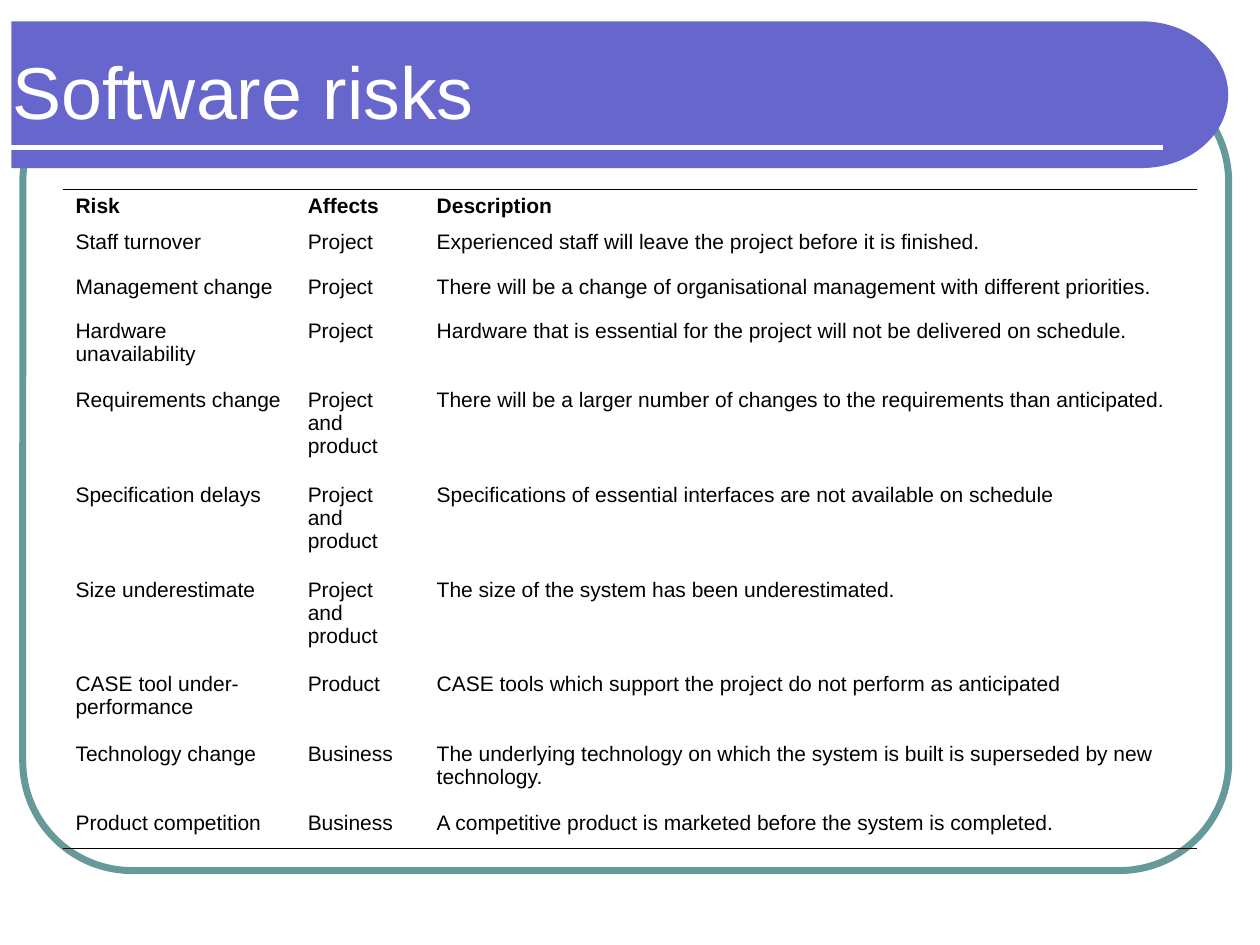
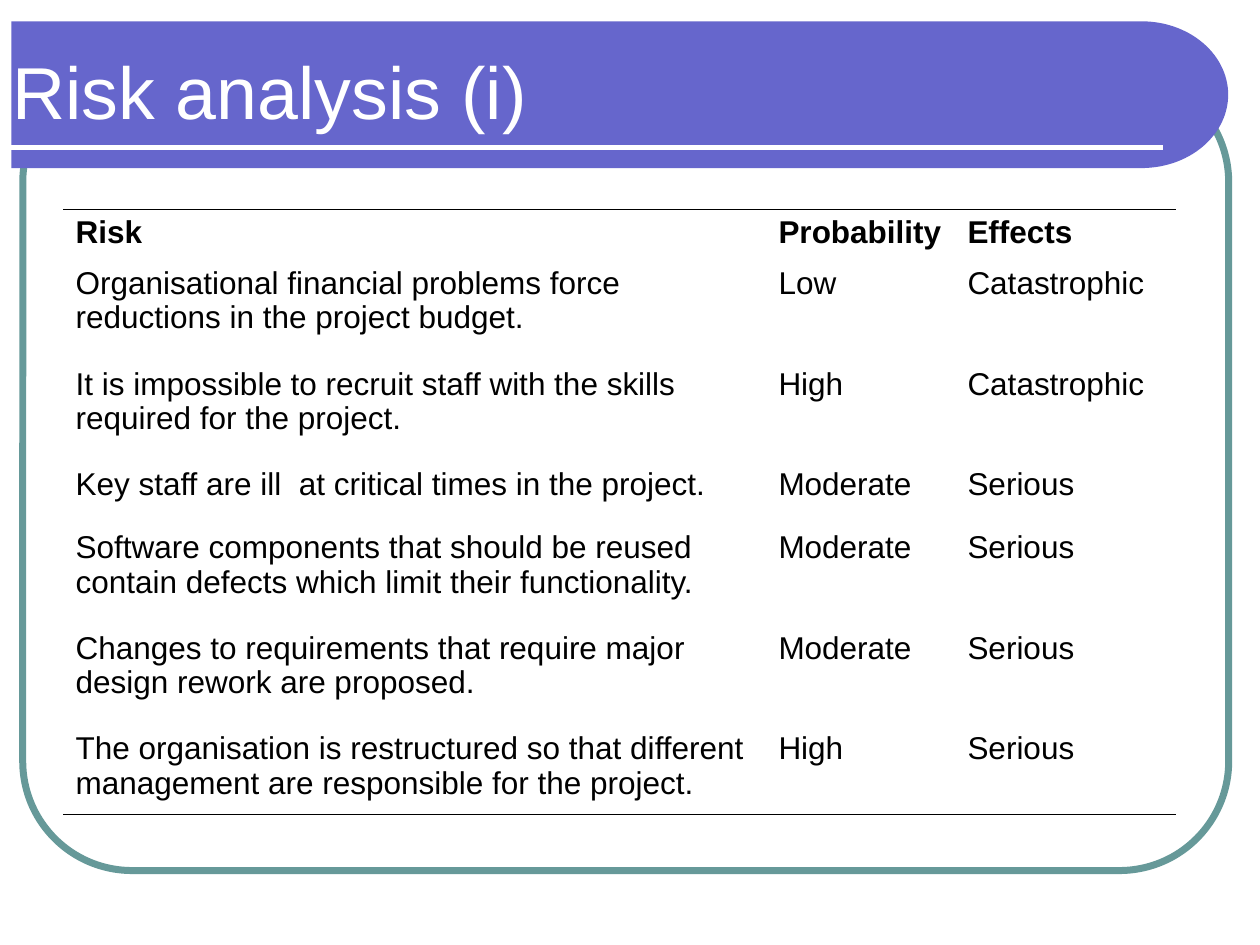
import math
from dataclasses import dataclass

import pptx
import pptx.dml.color
import pptx.enum.shapes
import pptx.enum.text
import pptx.oxml
import pptx.oxml.ns
import pptx.util

Cm = pptx.util.Cm
Pt = pptx.util.Pt
Align = pptx.enum.text.PP_ALIGN
Rgb = pptx.dml.color.RGBColor


@dataclass(frozen=True)
class Theme:
    font: str = "Arial"
    band: str = "6666CC"
    frame: str = "669999"
    ink: str = "000000"
    paper: str = "FFFFFF"
    title: float = 42
    edge: float = 4
    stripe: float = 3
    rule: float = 0.45
    lead: float = 0.98


@dataclass(frozen=True)
class Grid:
    """A risk table; lengths are in centimetres."""
    title: str
    top: float
    size: float
    head: Align
    cols: tuple[float, ...]
    rows: tuple[float, ...]
    cells: tuple[tuple[str, ...], ...]


THEME = Theme()
LEFT = 1.27
PLAIN = "{2D5ABB26-0587-4C30-8999-92F81FD0307C}"  # no style, no grid

GRIDS = (
    Grid(
        "Software risks", 3.81, 12, Align.JUSTIFY,
        (4.68, 2.6, 15.57),
        (0.73, 0.89, 0.89, 1.4, 1.91, 1.91, 1.91, 1.4, 1.4, 0.86),
        (
            ("Risk", "Affects", "Description"),
            ("Staff turnover", "Project",
             "Experienced staff will leave the project before it is finished."),
            ("Management change", "Project",
             "There will be a change of organisational management with different priorities."),
            ("Hardware unavailability", "Project",
             "Hardware that is essential for the project will not be delivered on schedule."),
            ("Requirements change", "Project and product",
             "There will be a larger number of changes to the requirements than anticipated."),
            ("Specification delays", "Project and product",
             "Specifications of essential interfaces are not available on schedule"),
            ("Size underestimate", "Project and product",
             "The size of the system has been underestimated."),
            ("CASE tool under-performance", "Product",
             "CASE tools which support the project do not perform as anticipated"),
            ("Technology change", "Business",
             "The underlying technology on which the system is built is superseded by new technology."),
            ("Product competition", "Business",
             "A competitive product is marketed before the system is completed."),
        ),
    ),
    Grid(
        "Risk analysis (i)", 4.23, 18, Align.LEFT,
        (14.17, 3.81, 4.45),
        (1.02, 2.03, 2.03, 1.27, 2.03, 2.03, 1.78),
        (
            ("Risk", "Probability", "Effects"),
            ("Organisational financial problems force reductions in the project budget.",
             "Low", "Catastrophic"),
            ("It is impossible to recruit staff with the skills required for the project.",
             "High", "Catastrophic"),
            ("Key staff are ill  at critical times in the project.",
             "Moderate", "Serious"),
            ("Software components that should be reused contain defects which limit their functionality.",
             "Moderate", "Serious"),
            ("Changes to requirements that require major design rework are proposed.",
             "Moderate", "Serious"),
            ("The organisation is restructured so that different management are responsible for the project.",
             "High", "Serious"),
        ),
    ),
)


def style(para, size: float, color: str, bold: bool = False) -> None:
    font = para.font
    font.name, font.size, font.bold = THEME.font, Pt(size), bold
    font.color.rgb = Rgb.from_string(color)


def add_frame(slide) -> None:
    frame = slide.shapes.add_shape(
        pptx.enum.shapes.MSO_SHAPE.ROUNDED_RECTANGLE,
        Cm(0.46), Cm(1.47), Cm(24.31), Cm(16.08))
    frame.adjustments[0] = 0.137
    frame.shadow.inherit = False
    frame.fill.background()
    frame.line.color.rgb = Rgb.from_string(THEME.frame)
    frame.line.width = Pt(THEME.edge)


def add_band(slide) -> None:
    # Flat on the left, half an ellipse on the right
    left, mid, top, wide, half = 0.23, 23.01, 0.43, 1.75, 1.48
    turns = [math.radians(a) for a in range(-90, 91, 3)]
    arc = [(Cm(mid + wide * math.cos(t)), Cm(top + half + half * math.sin(t)))
           for t in turns]
    path = slide.shapes.build_freeform(Cm(left), Cm(top))
    path.add_line_segments([*arc, (Cm(left), Cm(top + 2 * half))], close=True)
    band = path.convert_to_shape()
    band.shadow.inherit = False
    band.fill.solid()
    band.fill.fore_color.rgb = Rgb.from_string(THEME.band)
    band.line.fill.background()


def add_stripe(slide) -> None:
    line = slide.shapes.add_connector(
        pptx.enum.shapes.MSO_CONNECTOR.STRAIGHT,
        Cm(0.2), Cm(2.97), Cm(23.44), Cm(2.97))
    line.line.color.rgb = Rgb.from_string(THEME.paper)
    line.line.width = Pt(THEME.stripe)
    props = line.element.spPr
    props.append(props.makeelement(pptx.oxml.ns.qn("a:effectLst"), {}))


def set_title(slide, text: str) -> None:
    title = slide.shapes.title
    title.element.getparent().append(title.element)  # bring above the band
    title.left, title.top = Cm(0), Cm(0.64)
    title.width, title.height = Cm(22.28), Cm(2.11)
    frame = title.text_frame
    frame.text = text
    frame.auto_size = pptx.enum.text.MSO_AUTO_SIZE.NONE
    frame.vertical_anchor = pptx.enum.text.MSO_ANCHOR.MIDDLE
    frame.margin_left = Cm(0.25)
    frame.margin_top, frame.margin_bottom = Cm(0.28), Cm(0.03)
    para = frame.paragraphs[0]
    para.alignment = Align.LEFT
    style(para, THEME.title, THEME.paper)


def add_rule(cell, side: str) -> None:
    rule = pptx.oxml.parse_xml(
        f'<a:{side} {pptx.oxml.ns.nsdecls("a")} w="{Pt(THEME.rule)}">'
        f'<a:solidFill><a:srgbClr val="{THEME.ink}"/></a:solidFill></a:{side}>')
    cell._tc.get_or_add_tcPr().insert(0, rule)


def add_grid(slide, grid: Grid) -> None:
    shape = slide.shapes.add_table(
        len(grid.rows), len(grid.cols), Cm(LEFT), Cm(grid.top),
        Cm(sum(grid.cols)), Cm(sum(grid.rows)))
    table = shape.table
    table.horz_banding = False
    table._tbl.tblPr.find(pptx.oxml.ns.qn("a:tableStyleId")).text = PLAIN
    for col, width in zip(table.columns, grid.cols):
        col.width = Cm(width)
    for row, height in zip(table.rows, grid.rows):
        row.height = Cm(height)
    last = len(grid.rows) - 1
    for r, texts in enumerate(grid.cells):
        for c, text in enumerate(texts):
            cell = table.cell(r, c)
            cell.text = text
            cell.fill.background()
            para = cell.text_frame.paragraphs[0]
            para.alignment = grid.head if r == 0 else Align.LEFT
            para.line_spacing = THEME.lead
            style(para, grid.size, THEME.ink, bold=r == 0)
            # Rules close the table above and below
            if r == 0:
                add_rule(cell, "lnT")
            elif r == last:
                add_rule(cell, "lnB")


def main() -> None:
    deck = pptx.Presentation()
    deck.slide_width, deck.slide_height = Cm(25.4), Cm(19.05)
    for grid in GRIDS:
        slide = deck.slides.add_slide(deck.slide_layouts[5])
        add_frame(slide)
        add_band(slide)
        add_stripe(slide)
        set_title(slide, grid.title)
        add_grid(slide, grid)
    deck.save("out.pptx")


if __name__ == "__main__":
    main()
